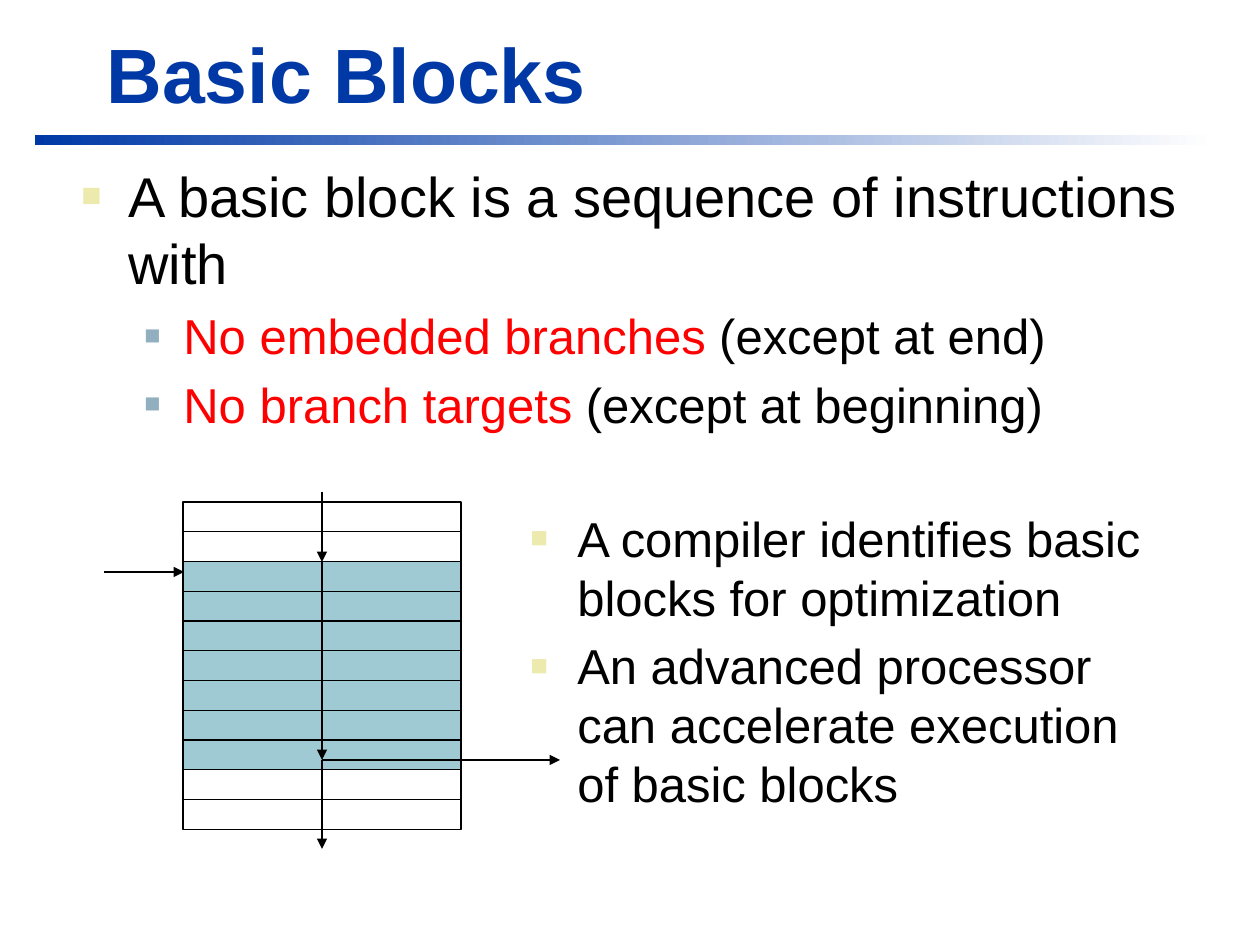
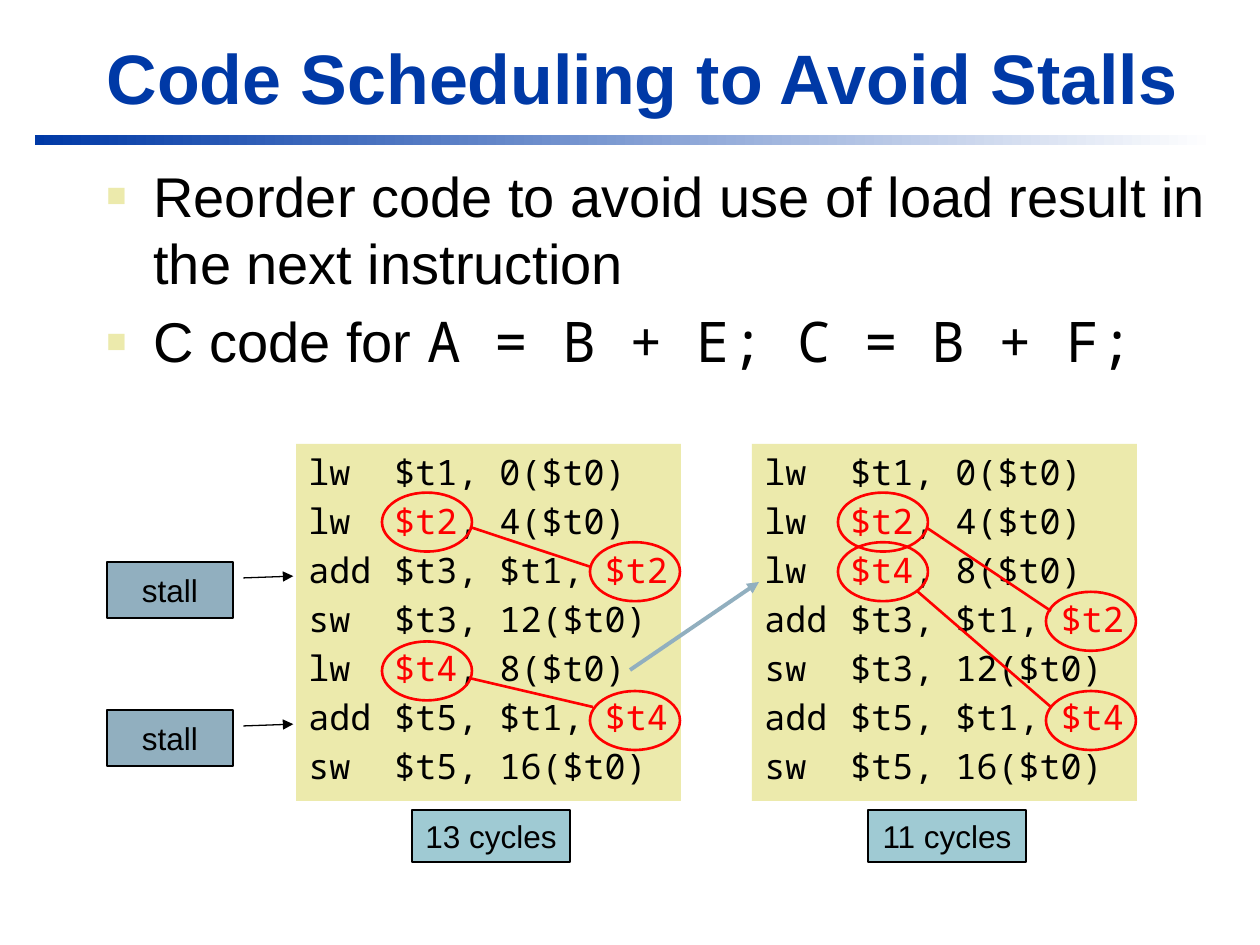
from lxml import etree
from pptx import Presentation
from pptx import util as u
from pptx.dml.color import RGBColor
from pptx.enum import dml, shapes, text
from pptx.oxml.ns import qn

EMU_PER_PX = 914400 / 126
C = {"title": "0039A6", "white": "FFFFFF", "black": "000000", "red": "FF0000",
     "cream": "ECEAAC", "steel": "91AFBF", "teal": "9FCAD3"}
SANS, MONO = "Arial", "Noto Sans Mono"
# Bullet levels: left margin, hanging indent, colour, size in percent
LEVELS = [(47, 47, "cream", 60), (102, 39, "steel", 55)]
CODE_TAB = 86
RING_W, RING_H = 90, 59


def px(n):
    return u.Emu(round(n * EMU_PER_PX))


def box(*lengths):
    return [px(n) for n in lengths]


def rgb(name):
    return RGBColor.from_string(C[name])


def add_sub(parent, tag, **attrs):
    return etree.SubElement(parent, qn(tag), {k: str(v) for k, v in attrs.items()})


def add_runs(p, content, size, font=SANS, **accent):
    """Add the text between bars with the accent colour or font."""
    for i, part in enumerate(content.split("|")):
        if not part:
            continue
        marked = accent if i % 2 else {}
        r = p.add_run()
        r.text = part
        r.font.size = u.Pt(size)
        r.font.name = marked.get("font_name", font)
        r.font.color.rgb = rgb(marked.get("color", "black"))


def add_shape(slide, kind, bounds, fill=None, line=None, width=0.75):
    sp = slide.shapes.add_shape(kind, *box(*bounds))
    sp.shadow.inherit = False
    if fill:
        sp.fill.solid()
        sp.fill.fore_color.rgb = rgb(fill)
    else:
        sp.fill.background()
    if line:
        sp.line.color.rgb = rgb(line)
        sp.line.width = u.Pt(width)
    else:
        sp.line.fill.background()
    return sp


def add_line(slide, start, end, color="black", width=1.5, arrow=True):
    line = slide.shapes.add_connector(shapes.MSO_CONNECTOR.STRAIGHT, *box(*start, *end))
    line.line.color.rgb = rgb(color)
    line.line.width = u.Pt(width)
    if arrow:
        add_sub(line.line._get_or_add_ln(), "a:tailEnd", type="triangle")
    add_sub(line._element.spPr, "a:effectLst")
    return line


def add_title_slide(prs, title, size):
    """Start a slide with the shared title style and gradient band."""
    slide = prs.slides.add_slide(prs.slide_layouts[5])
    band = add_shape(slide, shapes.MSO_SHAPE.RECTANGLE, (35, 135, 1180, 10), "title")
    band.fill.gradient()
    band.fill.gradient_angle = 0
    for stop, color, pos in zip(band.fill.gradient_stops, ("title", "white"), (0, 1)):
        stop.color.rgb = rgb(color)
        stop.position = pos

    sp = slide.shapes.title
    sp.left, sp.top, sp.width, sp.height = box(94, 20, 1138, 105)
    tf = sp.text_frame
    tf.auto_size = text.MSO_AUTO_SIZE.NONE
    tf.vertical_anchor = text.MSO_ANCHOR.BOTTOM
    p = tf.paragraphs[0]
    p.alignment = text.PP_ALIGN.LEFT
    add_runs(p, f"|{title}|", size, color="title")
    p.runs[0].font.bold = True
    return slide


def add_bullets(slide, bounds, items, **accent):
    """Items are (level, size, content)."""
    tf = slide.shapes.add_textbox(*box(*bounds)).text_frame
    tf.word_wrap = True
    for i, (level, size, content) in enumerate(items):
        p = tf.paragraphs[0] if i == 0 else tf.add_paragraph()
        margin, hang, color, percent = LEVELS[level]
        pPr = p._p.get_or_add_pPr()
        pPr.set("marL", str(px(margin)))
        pPr.set("indent", str(-px(hang)))
        add_sub(add_sub(pPr, "a:buClr"), "a:srgbClr", val=C[color])
        add_sub(pPr, "a:buSzPct", val=percent * 1000)
        add_sub(pPr, "a:buFont", typeface=SANS)
        add_sub(pPr, "a:buChar", char="■")
        if i:
            p.space_before = u.Pt(round(size * 0.2, 1))
        add_runs(p, content, size, **accent)


def add_code(slide, left, lines):
    sp = add_shape(slide, shapes.MSO_SHAPE.RECTANGLE, (left, 444, 385, 357), "cream")
    tf = sp.text_frame
    tf.word_wrap = False
    tf.vertical_anchor = text.MSO_ANCHOR.TOP
    for i, content in enumerate(lines):
        p = tf.paragraphs[0] if i == 0 else tf.add_paragraph()
        p.alignment = text.PP_ALIGN.LEFT
        tabs = add_sub(p._p.get_or_add_pPr(), "a:tabLst")
        add_sub(tabs, "a:tab", pos=px(CODE_TAB), algn="l")
        if i:
            p.space_before = u.Pt(4)
        add_runs(p, content, 20, MONO, color="red")


def add_label(slide, kind, bounds, fill, content):
    sp = add_shape(slide, kind, bounds, fill, "black")
    tf = sp.text_frame
    tf.word_wrap = False
    tf.vertical_anchor = text.MSO_ANCHOR.MIDDLE
    tf.paragraphs[0].alignment = text.PP_ALIGN.CENTER
    add_runs(tf.paragraphs[0], content, 18)
    return sp


def add_stall(slide, top):
    sp = add_label(slide, shapes.MSO_SHAPE.LINE_CALLOUT_1, (107, top, 126, 56),
                   "steel", "stall")
    for i, value in enumerate((0.285, 1.083, 0.253, 1.479)):
        sp.adjustments[i] = value
    add_sub(sp.line._get_or_add_ln(), "a:tailEnd", type="triangle")


def build_basic_blocks(prs):
    slide = add_title_slide(prs, "Basic Blocks", 44)
    add_bullets(slide, (69, 155, 1140, 318), [
        (0, 32, "A basic block is a sequence of instructions with"),
        (1, 28, "|No embedded branches |(except at end)"),
        (1, 28, "|No branch targets |(except at beginning)")], color="red")

    # Instruction stack, with the basic block shaded
    left, top, width, pitch = 183, 502, 278, 29.75
    for row in range(11):
        add_shape(slide, shapes.MSO_SHAPE.RECTANGLE,
                  (left, top + row * pitch, width, pitch),
                  "teal" if 2 <= row <= 8 else None, "black")

    # Control flow
    middle, entry, leave = 322, 562, 760
    for start, end in [((middle, 492), (middle, entry)),
                       ((middle, entry), (middle, leave)),
                       ((middle, leave), (middle, 849)),
                       ((middle, leave), (560, leave)),
                       ((104, 572), (184, 572))]:
        add_line(slide, start, end)

    add_bullets(slide, (518, 502, 644, 328), [
        (0, 28, "A compiler identifies basic blocks for optimization"),
        (0, 28, "An advanced processor can accelerate execution of basic blocks")])


def build_code_scheduling(prs):
    slide = add_title_slide(prs, "Code Scheduling to Avoid Stalls", 40)
    add_bullets(slide, (94, 155, 1140, 255), [
        (0, 32, "Reorder code to avoid use of load result in the next instruction"),
        (0, 32, "C code for |A = B + E; C = B + F;|")], font_name=MONO)

    # Code before and after reordering
    load_b, load_e, add_a, store_a, load_f, add_c, store_c = [
        "lw\t$t1, 0($t0)", "lw\t|$t2|, 4($t0)", "add\t$t3, $t1, |$t2|",
        "sw\t$t3, 12($t0)", "lw\t|$t4|, 8($t0)", "add\t$t5, $t1, |$t4|",
        "sw\t$t5, 16($t0)"]
    before, after = 296, 752
    add_code(slide, before, [load_b, load_e, add_a, store_a, load_f, add_c, store_c])
    add_code(slide, after, [load_b, load_e, load_f, add_a, store_a, add_c, store_c])
    for top in (562, 710):
        add_stall(slide, top)
    add_line(slide, (630, 670), (759, 582), "steel", 2.25)

    # Rings on the loaded register (left) and its use (right), by code row
    for left, loads, uses in [(before, (1, 4), (2, 5)), (after, (1, 2), (3, 5))]:
        for offset, rows in ((86, loads), (294, uses)):
            for row in rows:
                add_shape(slide, shapes.MSO_SHAPE.OVAL,
                          (left + offset, 443 + row * 49.6, RING_W, RING_H),
                          None, "red", 1.5)
    for start, end in [((470, 527), (591, 567)), ((469, 678), (593, 707)),
                       ((927, 528), (1051, 611)), ((917, 591), (1051, 707))]:
        add_line(slide, start, end, "red", arrow=False)

    # Cycle counts
    for left, content in ((before, "13 cycles"), (after, "11 cycles")):
        add_label(slide, shapes.MSO_SHAPE.RECTANGLE, (left + 116, 810, 158, 52),
                  "teal", content)


def main():
    prs = Presentation()
    prs.slide_width, prs.slide_height = box(1260, 945)
    build_basic_blocks(prs)
    build_code_scheduling(prs)
    prs.save("out.pptx")


if __name__ == "__main__":
    main()
